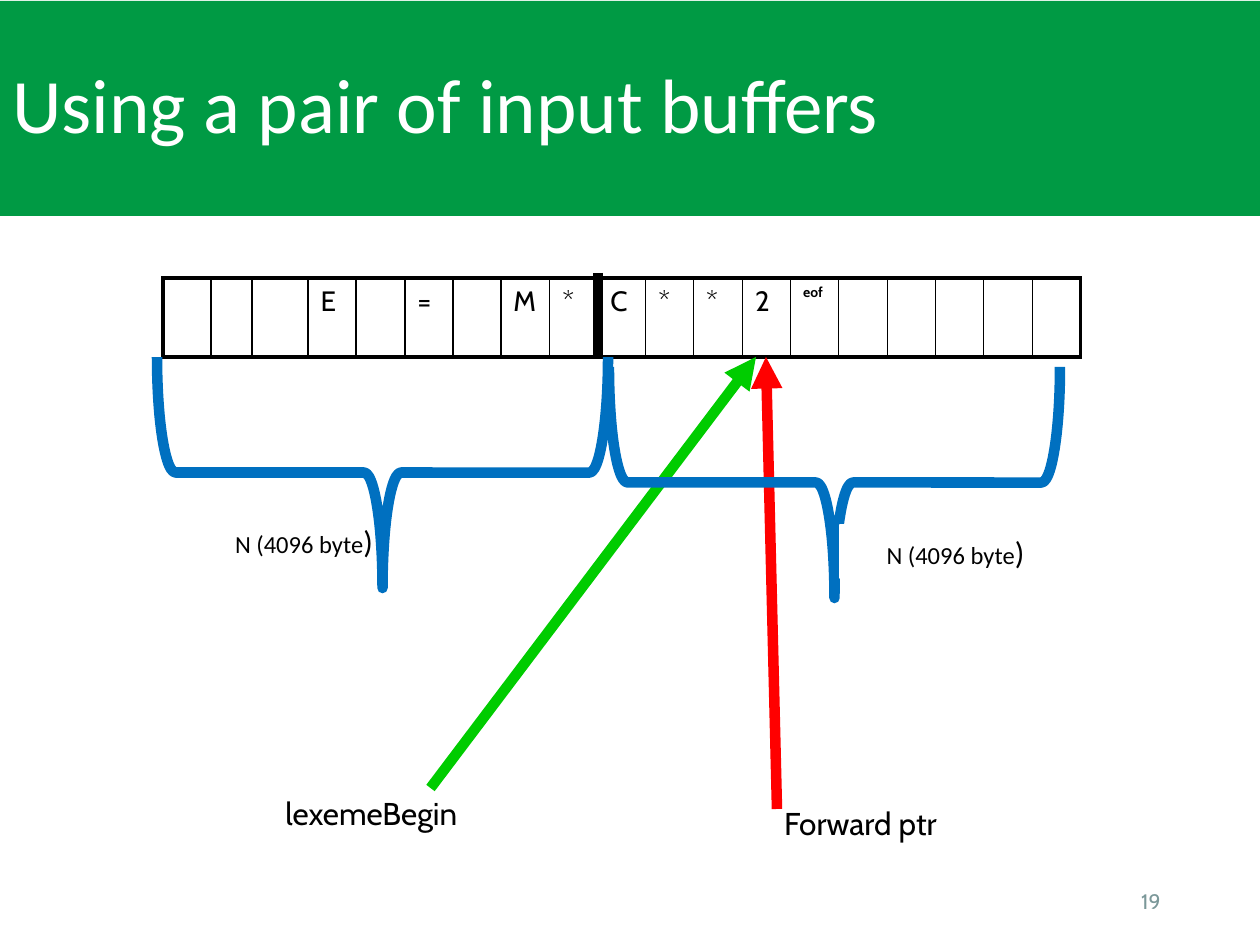
from pptx import Presentation
from pptx.dml.color import RGBColor
from pptx.enum.shapes import MSO_CONNECTOR as CONNECTOR, MSO_SHAPE as SHAPE
from pptx.enum.text import MSO_ANCHOR as ANCHOR, PP_ALIGN as ALIGN
from pptx.oxml import parse_xml
from pptx.oxml.ns import nsdecls
from pptx.util import Pt

EMU_PER_PX = 914400 / 126
BLACK, WHITE, BLUE = "000000", "FFFFFF", "0070C0"


def px(length):
    return round(length * EMU_PER_PX)


def box_px(*lengths):
    return [px(length) for length in lengths]


def color(hex_code):
    return RGBColor.from_string(hex_code)


def style(run, size, font="Cabin", hex_code=BLACK, bold=False):
    run.font.size = Pt(size)
    run.font.name = font
    run.font.bold = bold
    run.font.color.rgb = color(hex_code)


def add_panel(slide, box, fill):
    panel = slide.shapes.add_shape(SHAPE.RECTANGLE, *box_px(*box))
    panel.shadow.inherit = False
    panel.fill.solid()
    panel.fill.fore_color.rgb = color(fill)
    panel.line.fill.background()
    panel.text_frame.vertical_anchor = ANCHOR.MIDDLE
    return panel


def add_title(slide, box, text):
    banner = add_panel(slide, box, "009A44")
    banner.text_frame.text = text
    heading = banner.text_frame.paragraphs[0]
    heading.alignment = ALIGN.LEFT
    heading.line_spacing = 0.9
    style(heading.runs[0], 44, "Calibri", WHITE)


def add_label(slide, box, text, size, align=ALIGN.LEFT, hex_code=BLACK, anchor=ANCHOR.TOP):
    label = slide.shapes.add_textbox(*box_px(*box))
    label.text_frame.word_wrap = True
    label.text_frame.vertical_anchor = anchor
    label.text_frame.text = text
    line = label.text_frame.paragraphs[0]
    line.alignment = align
    style(line.runs[0], size, hex_code=hex_code)
    return label


def set_borders(cell, widths):
    properties = cell._tc.get_or_add_tcPr()
    for index, (side, width) in enumerate(widths.items()):
        properties.insert(index, parse_xml(
            f'<a:{side} {nsdecls("a")} w="{Pt(width)}"><a:solidFill>'
            f'<a:srgbClr val="{BLACK}"/></a:solidFill></a:{side}>'))


def add_buffer(slide, box, symbols):
    left, top, width, height = box
    narrow_edges = [0, 48, 89]
    even_start = 145
    even_count = len(symbols) - len(narrow_edges)
    step = (width - even_start) / even_count
    edges = narrow_edges + [even_start + round(step * i) for i in range(even_count + 1)]
    frame = slide.shapes.add_table(1, len(symbols), *box_px(*box))
    buffer = frame.table
    buffer.first_row = buffer.horz_banding = False
    buffer.rows[0].height = px(height)
    last = len(symbols) - 1
    for i, symbol in enumerate(symbols):
        buffer.columns[i].width = px(edges[i + 1] - edges[i])
        cell = buffer.cell(0, i)
        cell.fill.background()
        set_borders(cell, {"lnL": 2.25 if i == 0 else 1, "lnR": 2.25 if i == last else 1,
                           "lnT": 2.25, "lnB": 2.25})
        if symbol:
            cell.text_frame.text = symbol
            is_eof = symbol == "eof"
            style(cell.text_frame.paragraphs[0].runs[0], 8 if is_eof else 16, bold=is_eof)


def add_line(slide, start, end, hex_code, arrow=False):
    line = slide.shapes.add_connector(CONNECTOR.STRAIGHT, *box_px(*start, *end))
    line.line.color.rgb = color(hex_code)
    line.line.width = Pt(6)
    if arrow:
        line.line._get_or_add_ln().append(
            parse_xml(f'<a:tailEnd {nsdecls("a")} type="triangle"/>'))
    line._element.spPr.append(parse_xml(f'<a:effectLst {nsdecls("a")}/>'))
    return line


def add_size_note(slide, box):
    note = add_panel(slide, box, WHITE)
    note.line.color.rgb = color(WHITE)
    note.line.width = Pt(1)
    caption = note.text_frame.paragraphs[0]
    caption.alignment = ALIGN.CENTER
    for text, size in (("N (4096 byte", 14), (")", 18)):
        run = caption.add_run()
        run.text = text
        style(run, size, "Calibri")


def add_brace(slide, box):
    left, top, width, height = box
    center_x, center_y = left + width / 2, top + height / 2
    brace = slide.shapes.add_shape(SHAPE.RIGHT_BRACE, *box_px(
        center_x - height / 2, center_y - width / 2, height, width))
    brace.rotation = 90
    brace.adjustments[0] = 0.08
    brace.adjustments[1] = 0.5
    brace.shadow.inherit = False
    brace.fill.background()
    brace.line.color.rgb = color(BLUE)
    brace.line.width = Pt(6)


def add_pointers(slide, box):
    left, top, width, height = box
    bottom = top + height
    lexeme_begin = add_label(slide, (left, bottom, 315, 50), "lexemeBegin", 18)
    lexeme_arrow = add_line(slide, (left + 157, bottom), (left + 483, top), "00CC00", True)
    lexeme_arrow.begin_connect(lexeme_begin, 0)
    add_line(slide, (left + 504, bottom + 21), (left + 493, top), "FF0000", True)
    add_label(slide, (left + width - 315, bottom + 10, 315, 50), "Forward ptr", 18, ALIGN.CENTER)


def main():
    deck = Presentation()
    deck.slide_width, deck.slide_height = px(1260), px(945)
    slide = deck.slides.add_slide(deck.slide_layouts[6])
    add_title(slide, (0, 1, 1260, 215), "Using a pair of input buffers")
    symbols = ["", "", "", "E", "", "=", "", "M", "*", "C", "*", "*", "2", "eof"] + [""] * 5
    add_buffer(slide, (163, 278, 918, 79), symbols)
    add_label(slide, (890, 876, 283, 50), "19", 12, ALIGN.RIGHT, "7B9899", ANCHOR.MIDDLE)
    add_pointers(slide, (273, 357, 745, 431))
    add_line(slide, (598, 273), (598, 357), BLACK)
    add_size_note(slide, (157, 514, 294, 53))
    add_brace(slide, (157, 357, 451, 231))
    add_brace(slide, (609, 367, 451, 231))
    add_size_note(slide, (840, 525, 231, 53))
    deck.save("out.pptx")


if __name__ == "__main__":
    main()
